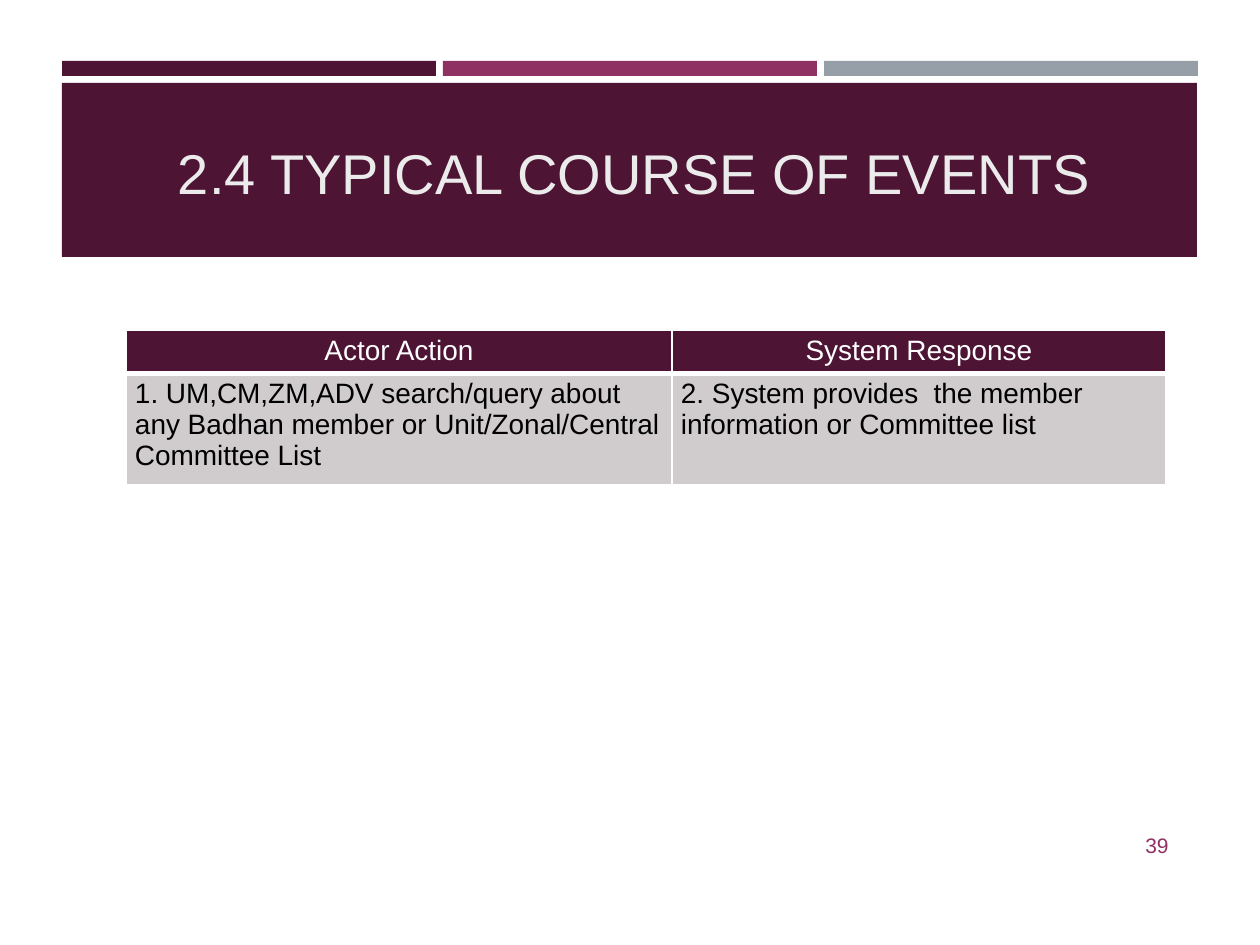
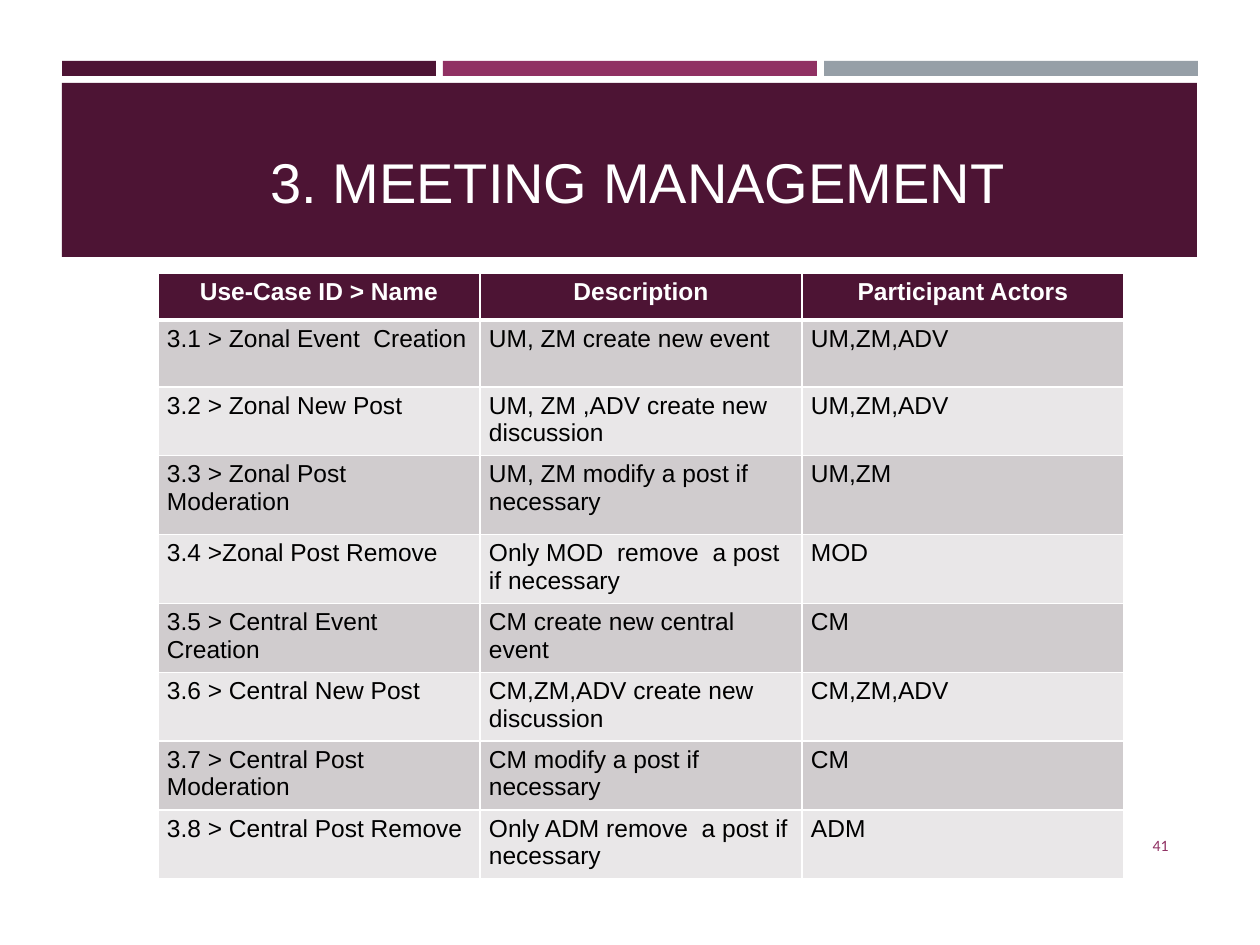
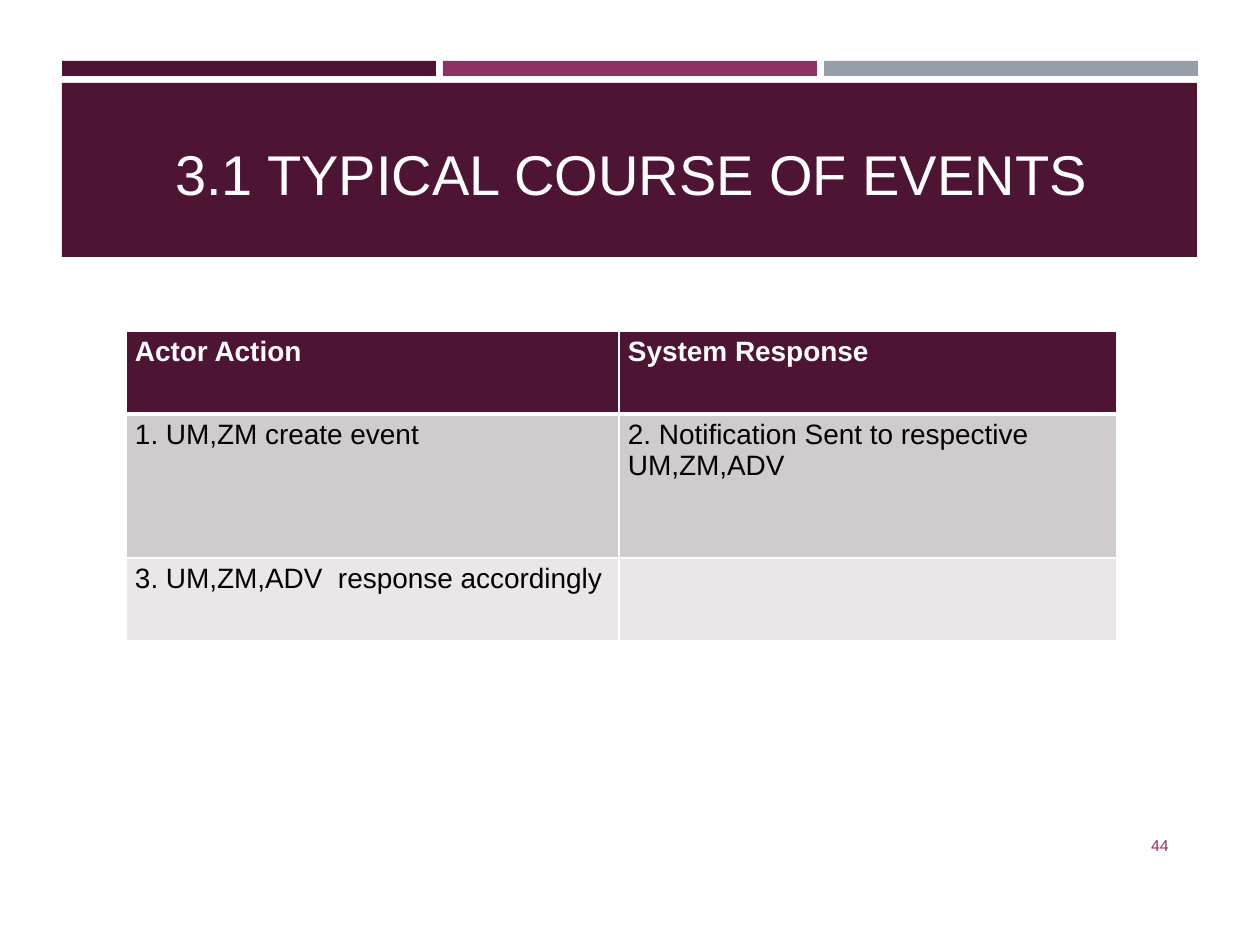
"""Build three use-case slides with a shared title band, tables and page numbers."""
from lxml import etree
from pptx import Presentation
from pptx.dml.color import RGBColor
from pptx.enum.shapes import MSO_SHAPE
from pptx.enum.text import MSO_ANCHOR as ANCHOR, MSO_AUTO_SIZE as FIT, PP_ALIGN as ALIGN
from pptx.oxml import parse_xml
from pptx.oxml.ns import nsdecls
from pptx.util import Emu, Inches, Pt

PLUM = RGBColor(0x4D, 0x14, 0x34)
MAGENTA = RGBColor(0x90, 0x31, 0x63)
SLATE = RGBColor(0x96, 0x9F, 0xA7)
WHITE = RGBColor(0xFF, 0xFF, 0xFF)
PALE = RGBColor(0xEB, 0xEB, 0xEB)
BLACK = RGBColor(0x00, 0x00, 0x00)
ROW_FILLS = RGBColor(0xE9, 0xE7, 0xE8), RGBColor(0xD0, 0xCC, 0xCE)
FONT = "Arial"
SCALE = Inches(1) / 126


def px(n):
    return Emu(round(n * SCALE))


def box(*lengths):
    return [px(n) for n in lengths]


class Deck:
    def __init__(self):
        self.prs = Presentation()
        self.prs.slide_width, self.prs.slide_height = box(1260, 945)
        self.s = None

    def style(self, p, size, color, align=ALIGN.LEFT, bold=False, font=FONT):
        p.alignment = align
        for r in p.runs:
            r.font.name = font
            r.font.size = Pt(size)
            r.font.bold = bold
            r.font.color.rgb = color

    def band(self, x, y, w, h, color):
        sp = self.s.shapes.add_shape(MSO_SHAPE.RECTANGLE, *box(x, y, w, h))
        sp.shadow.inherit = False
        sp.fill.solid()
        sp.fill.fore_color.rgb = color
        sp.line.fill.background()
        self.s.shapes.title.element.addprevious(sp.element)

    def slide(self, title, place, number, color=WHITE, num_size=9, num_font="Calibri"):
        self.s = self.prs.slides.add_slide(self.prs.slide_layouts[5])
        for i, fill in enumerate((PLUM, MAGENTA, SLATE)):
            self.band(62 + 381 * i, 61, 374, 15, fill)
        self.band(62, 83, 1135, 174, PLUM)
        sp = self.s.shapes.title
        sp.left, sp.top, sp.width, sp.height = box(*place)
        tf = sp.text_frame
        tf.text = title
        tf.auto_size = FIT.NONE
        tf.vertical_anchor = ANCHOR.BOTTOM
        self.style(tf.paragraphs[0], 32, color, ALIGN.CENTER)
        self.page_number(number, num_size, num_font)

    def page_number(self, number, size, font):
        tf = self.s.shapes.add_textbox(*box(1075, 820, 106, 50)).text_frame
        tf.word_wrap = True
        tf.vertical_anchor = ANCHOR.MIDDLE
        tf.text = number
        self.style(tf.paragraphs[0], size, MAGENTA, ALIGN.RIGHT, font=font)

    def borders(self, cell, top, bottom):
        tc_pr = cell._tc.get_or_add_tcPr()
        widths = {"lnL": 1, "lnR": 1, "lnT": top, "lnB": bottom}
        for i, (tag, width) in enumerate(widths.items()):
            ln = parse_xml(f'<a:{tag} {nsdecls("a")} w="{Pt(width)}"><a:solidFill>'
                           f'<a:srgbClr val="{WHITE}"/></a:solidFill></a:{tag}>')
            tc_pr.insert(i, ln)

    def table(self, x, y, cols, heights, rows, size, align=ALIGN.CENTER, bold=True):
        place = box(x, y, sum(cols), sum(heights))
        tbl = self.s.shapes.add_table(len(rows), len(cols), *place).table
        for col, w in zip(tbl.columns, cols):
            col.width = px(w)
        for i, (row, h, texts) in enumerate(zip(tbl.rows, heights, rows)):
            row.height = px(h)
            head = i == 0
            for cell, text in zip(row.cells, texts):
                cell.margin_left = cell.margin_right = px(9)
                cell.margin_top = cell.margin_bottom = px(5)
                cell.fill.solid()
                cell.fill.fore_color.rgb = PLUM if head else ROW_FILLS[i % 2]
                self.borders(cell, 3 if i == 1 else 1, 3 if head else 1)
                cell.text = text
                p = cell.text_frame.paragraphs[0]
                if head:
                    self.style(p, size, WHITE, align, bold)
                else:
                    self.style(p, size, BLACK)


def main():
    deck = Deck()

    deck.slide("2.4 TYPICAL COURSE OF EVENTS", (84, 105, 1101, 107), "39", PALE, 12, FONT)
    deck.table(126, 330, [546, 494], [42, 72], [
        ("Actor Action", "System Response"),
        ("1. UM,CM,ZM,ADV search/query about any Badhan member or Unit/Zonal/Central Committee List",
         "2. System provides  the member information or Committee list"),
    ], 16, bold=False)

    deck.slide("3. MEETING MANAGEMENT", (103, 116, 1070, 105), "41")
    deck.table(158, 273, [322] * 3, [47, 67, 67, 79] + [67] * 5, [
        ("Use-Case ID > Name", "Description", "Participant Actors"),
        ("3.1 > Zonal Event  Creation", "UM, ZM create new event", "UM,ZM,ADV"),
        ("3.2 > Zonal New Post", "UM, ZM ,ADV create new discussion", "UM,ZM,ADV"),
        ("3.3 > Zonal Post Moderation", "UM, ZM modify a post if necessary", "UM,ZM"),
        ("3.4 >Zonal Post Remove", "Only MOD  remove  a post if necessary", "MOD"),
        ("3.5 > Central Event  Creation", "CM create new central event", "CM"),
        ("3.6 > Central New Post", "CM,ZM,ADV create new discussion", "CM,ZM,ADV"),
        ("3.7 > Central Post Moderation", "CM modify a post if necessary", "CM"),
        ("3.8 > Central Post Remove", "Only ADM remove  a post if necessary", "ADM"),
    ], 14)

    deck.slide("3.1 TYPICAL COURSE OF EVENTS", (81, 126, 1101, 87), "44", num_font=FONT)
    deck.table(126, 331, [493, 498], [83, 144, 83], [
        ("Actor Action", "System Response"),
        ("1. UM,ZM create event", "2. Notification Sent to respective UM,ZM,ADV"),
        ("3. UM,ZM,ADV  response accordingly", ""),
    ], 16, ALIGN.LEFT)

    deck.prs.save("out.pptx")


if __name__ == "__main__":
    main()
